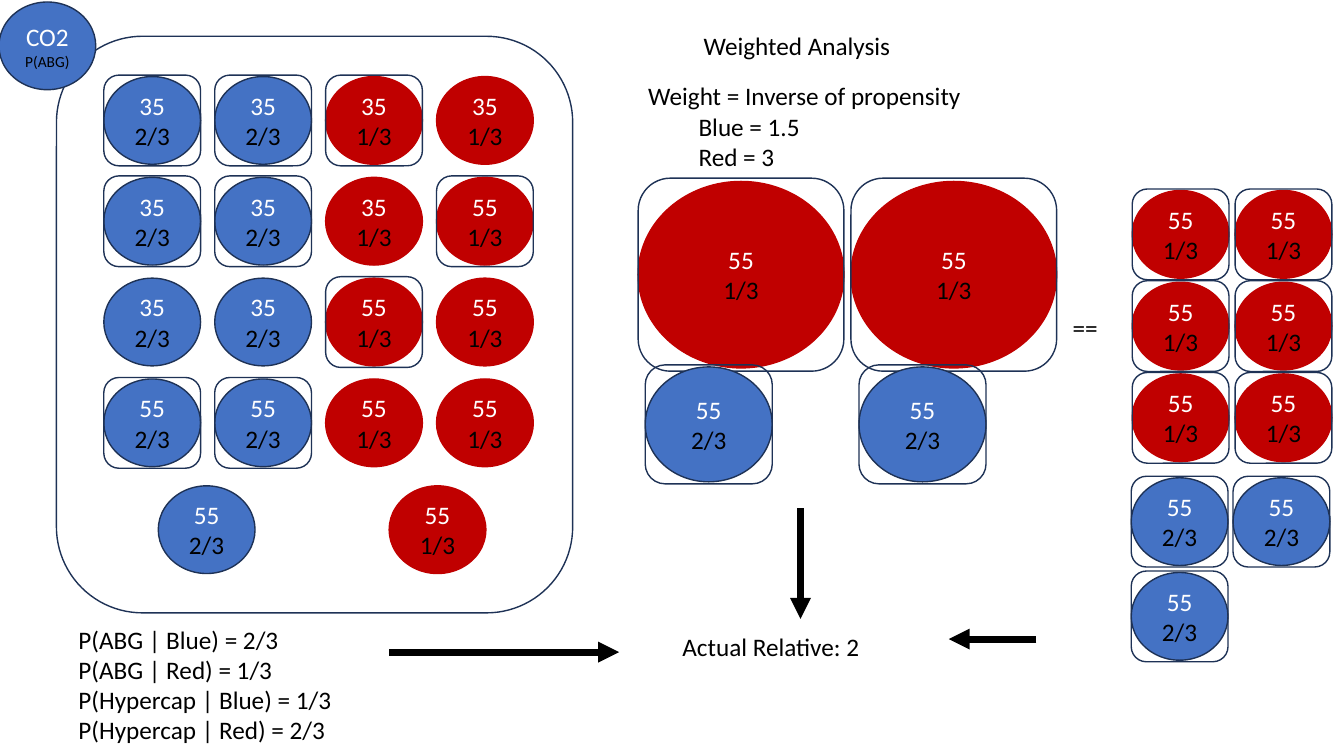
from dataclasses import dataclass
from lxml.etree import SubElement
from pptx import Presentation
from pptx.dml.color import RGBColor
from pptx.enum.shapes import MSO_CONNECTOR, MSO_SHAPE
from pptx.enum.text import MSO_ANCHOR, PP_ALIGN
from pptx.oxml.ns import qn
from pptx.util import Inches, Pt


@dataclass(frozen=True)
class Theme:
    font: str = "Calibri"
    blue: str = "4472C4"
    red: str = "C00000"
    navy: str = "1E3256"
    white: str = "FFFFFF"
    black: str = "000000"
    body: int = 18
    small: int = 11
    outline: int = 1
    arrow: int = 5


T = Theme()
GROUPS = {"B": (T.blue, T.navy, "2/3"), "R": (T.red, T.red, "1/3")}
SMALL, MEDIUM, LARGE = (0.96, 0.87), (1.26, 1.14), (2.04, 1.85)
FRAME_RATIO = 1.035

# Each mark is group, CO2 value and "+" when the case is sampled.
COHORT = [
    ["B35+", "B35+", "R35+", "R35"],
    ["B35+", "B35+", "R35", "R55+"],
    ["B35", "B35", "R55+", "R55"],
    ["B55+", "B55+", "R55", "R55"],
]
GRIDS = [
    (COHORT, (1.03, 0.76), (1.1, 1.0), SMALL),
    ([["B55", "R55"]], (1.57, 4.82), (2.29, 0), SMALL),
    ([["R55+", "R55+"]], (6.33, 1.8), (2.11, 0), LARGE),
    ([["B55+", "B55+"]], (6.4, 3.64), (2.12, 0), MEDIUM),
    ([["R55+", "R55+"]] * 3, (11.23, 1.89), (1.02, 0.91), SMALL),
    ([["B55+", "B55+"], ["B55+"]], (11.22, 4.74), (1.01, 0.94), SMALL),
]
LABELS = [
    (["P(ABG | Blue) = 2/3", "P(ABG | Red) = 1/3",
      "P(Hypercap | Blue) = 1/3", "P(Hypercap | Red) = 2/3"], (0.68, 6.14, 5.12, 1.31)),
    (["Weighted Analysis"], (6.88, 0.25, 5.44, 0.4)),
    (["Weight = Inverse of propensity", "\tBlue = 1.5", "\tRed = 3"], (6.33, 0.75, 3.52, 1.01)),
    (["=="], (10.54, 3.05, 0.63, 0.4)),
    (["Actual Relative: 2"], (6.67, 6.21, 3.43, 0.4)),
]
ARROWS = [
    (3.86, 6.47, 6.14, 6.47),
    (7.94, 5.04, 7.94, 6.14),
    (10.28, 6.34, 9.41, 6.34),
]


def write(tf, text, *, size=T.body, color=T.black, align=PP_ALIGN.LEFT, first=True):
    p = tf.paragraphs[0] if first else tf.add_paragraph()
    p.alignment = align
    r = p.add_run()
    r.text = text
    r.font.name = T.font
    r.font.size = Pt(size)
    r.font.color.rgb = RGBColor.from_string(color)


def add_outline(s, kind, box, line, fill=None):
    sp = s.shapes.add_shape(kind, *map(Inches, box))
    sp.shadow.inherit = False
    if fill:
        sp.fill.solid()
        sp.fill.fore_color.rgb = RGBColor.from_string(fill)
    else:
        sp.fill.background()
    sp.line.color.rgb = RGBColor.from_string(line)
    sp.line.width = Pt(T.outline)
    return sp


def add_circle(s, x, y, size, group, value, note=None, note_size=T.body):
    fill, line, share = GROUPS[group]
    tf = add_outline(s, MSO_SHAPE.OVAL, (x, y, *size), line, fill).text_frame
    tf.word_wrap = True
    tf.vertical_anchor = MSO_ANCHOR.MIDDLE
    write(tf, value, color=T.white, align=PP_ALIGN.CENTER)
    write(tf, note or share, size=note_size, align=PP_ALIGN.CENTER, first=False)


def add_frame(s, x, y, size):
    w, h = size
    tall = h * FRAME_RATIO
    add_outline(s, MSO_SHAPE.ROUNDED_RECTANGLE, (x, y - (tall - h) / 2, w, tall), T.navy)


def add_grid(s, rows, origin, pitch, size):
    for i, row in enumerate(rows):
        for j, mark in enumerate(row):
            x, y = origin[0] + j * pitch[0], origin[1] + i * pitch[1]
            add_circle(s, x, y, size, mark[0], mark[1:3])
            if mark.endswith("+"):
                add_frame(s, x, y, size)


def add_label(s, lines, box):
    tf = s.shapes.add_textbox(*map(Inches, box)).text_frame
    tf.word_wrap = True
    for i, line in enumerate(lines):
        write(tf, line, first=i == 0)


def add_arrow(s, ends):
    c = s.shapes.add_connector(MSO_CONNECTOR.STRAIGHT, *map(Inches, ends))
    c.line.color.rgb = RGBColor.from_string(T.black)
    c.line.width = Pt(T.arrow)
    SubElement(c.line._get_or_add_ln(), qn("a:tailEnd"), type="triangle")
    SubElement(c._element.spPr, qn("a:effectLst"))


def main():
    prs = Presentation()
    prs.slide_width, prs.slide_height = Inches(13.33), Inches(7.5)
    s = prs.slides.add_slide(prs.slide_layouts[6])
    add_outline(s, MSO_SHAPE.ROUNDED_RECTANGLE, (0.56, 0.36, 5.12, 5.72), T.navy)
    add_circle(s, -0.01, 0.02, SMALL, "B", "CO2", "P(ABG)", T.small)
    for grid in GRIDS:
        add_grid(s, *grid)
    for lines, box in LABELS:
        add_label(s, lines, box)
    for ends in ARROWS:
        add_arrow(s, ends)
    prs.save("out.pptx")


if __name__ == "__main__":
    main()
